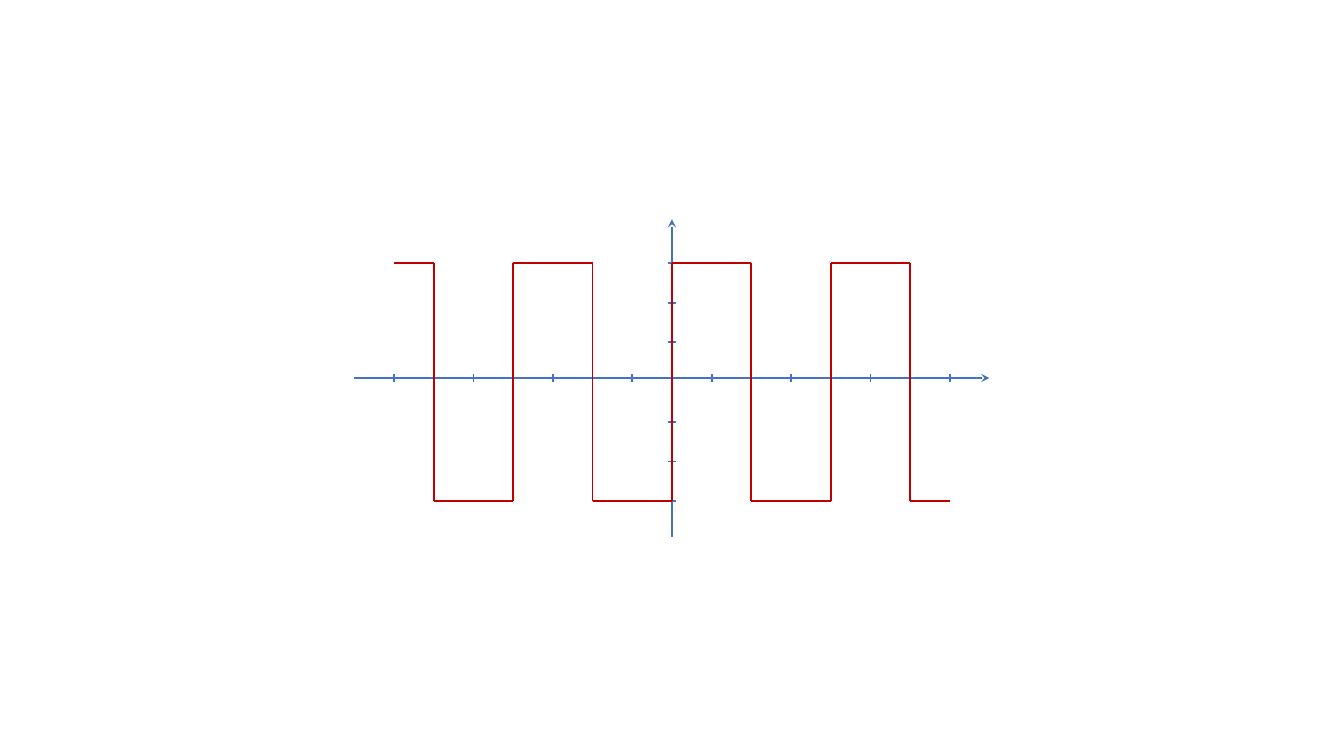
from pptx import Presentation
from pptx.dml.color import RGBColor
from pptx.enum.shapes import MSO_CONNECTOR
from pptx.oxml.ns import qn
from pptx.util import Cm, Inches, Pt
from lxml import etree

# Content, in grid units from the origin (y points up)
X_REACH, Y_REACH = 8, 4
X_TICKS = [x for x in range(-7, 8) if x]
Y_TICKS = [y for y in range(-3, 4) if y]
TICK = 0.1
WAVE_STOPS = [-7, -6, -4, -2, 0, 2, 4, 6, 7]
AMPLITUDE = 3

BLUE = RGBColor(0x44, 0x72, 0xC4)
RED = RGBColor(0xC0, 0x00, 0x00)
STRAIGHT = MSO_CONNECTOR.STRAIGHT

prs = Presentation()
prs.slide_width, prs.slide_height = Inches(13.333), Inches(7.5)
s = prs.slides.add_slide(prs.slide_layouts[6])

UNIT = Cm(1)
X0, Y0 = prs.slide_width // 2, prs.slide_height // 2
GRID_Y0 = Y0 + Inches(0.04)  # level grid sits slightly below the x axis


def line(x1, y1, x2, y2, color=BLUE, y0=Y0, arrow=False):
    """Draw a line between two points given in grid units."""
    c = s.shapes.add_connector(
        STRAIGHT, round(X0 + x1 * UNIT), round(y0 - y1 * UNIT),
        round(X0 + x2 * UNIT), round(y0 - y2 * UNIT))
    c.line.color.rgb = color
    c.line.width = Pt(1.25)
    if arrow:
        etree.SubElement(c.line._get_or_add_ln(), qn("a:tailEnd"), type="stealth")
    etree.SubElement(c._element.spPr, qn("a:effectLst"))


# Axes
line(-X_REACH, 0, X_REACH, 0, arrow=True)
line(0, -Y_REACH, 0, Y_REACH, arrow=True)

# Ticks
for x in X_TICKS:
    line(x, TICK, x, -TICK)
for y in Y_TICKS:
    line(TICK, y, -TICK, y, y0=GRID_Y0)

# Square wave: alternating levels, joined by vertical edges
level = AMPLITUDE
for start, end in zip(WAVE_STOPS, WAVE_STOPS[1:]):
    line(start, level, end, level, RED, GRID_Y0)
    if end != WAVE_STOPS[-1]:
        line(end, level, end, -level, RED, GRID_Y0)
    level = -level

prs.save("out.pptx")
